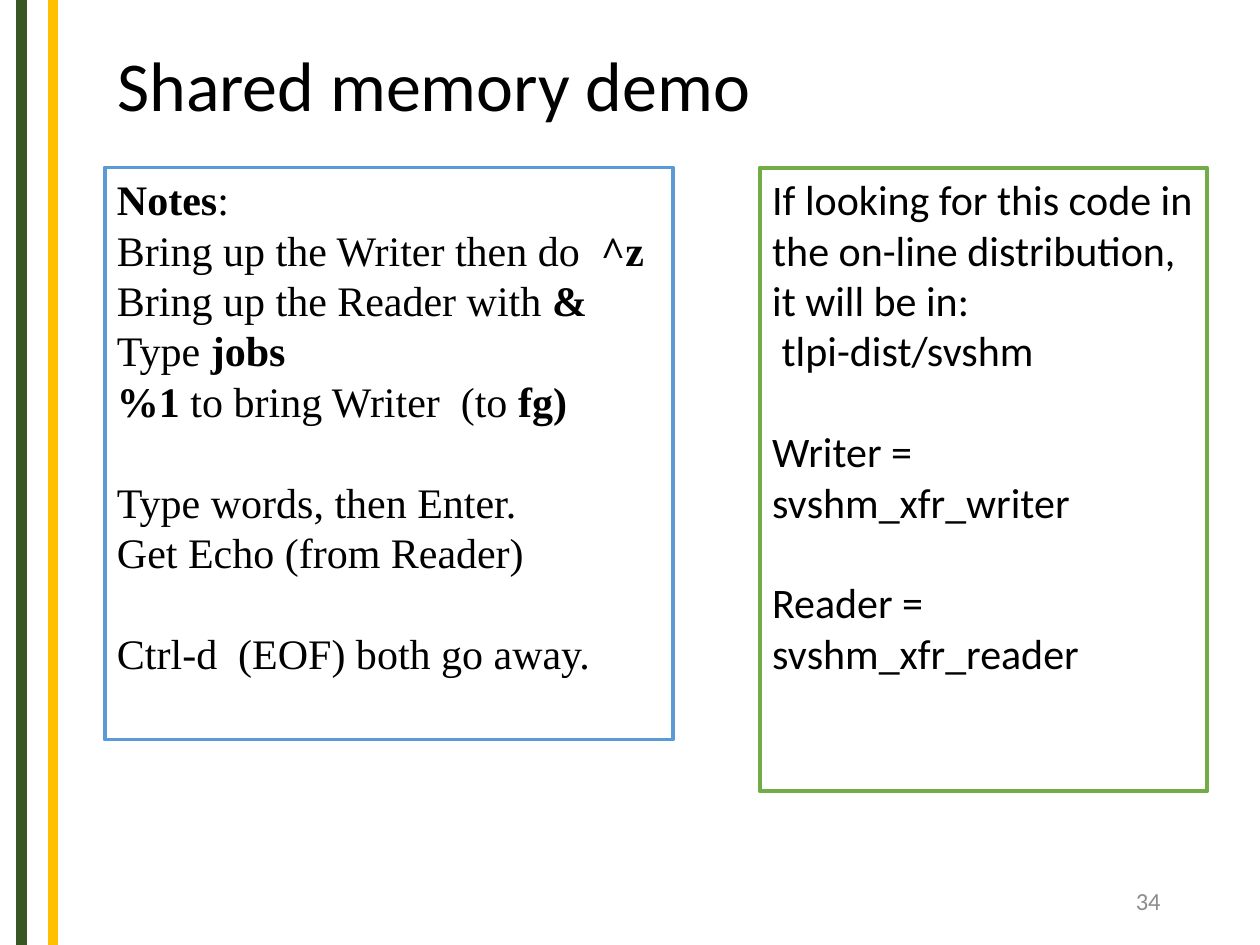
from pptx import Presentation
from pptx.dml.color import RGBColor
from pptx.enum.shapes import MSO_CONNECTOR, MSO_SHAPE
from pptx.enum.text import MSO_ANCHOR, PP_ALIGN
from pptx.oxml.ns import qn
from pptx.util import Inches, Pt
from lxml import etree

LEFT, RIGHT = PP_ALIGN.LEFT, PP_ALIGN.RIGHT
TOP, MIDDLE = MSO_ANCHOR.TOP, MSO_ANCHOR.MIDDLE
RECT = MSO_SHAPE.RECTANGLE
STRAIGHT = MSO_CONNECTOR.STRAIGHT

THEME = {
    "sans": "Calibri", "serif": "Times New Roman",
    "text": "000000", "muted": "8C8C8C",
    "title": 40, "body": 24, "number": 14,
    "pitch": 28.8, "border": 2.25, "stripe": 6,
}

TITLE = "Shared memory demo"
NUMBER = "34"
STRIPES = [(0.17, "385723"), (0.42, "FFC000")]

# Each group is a list of lines; each line is a list of (text, bold) runs.
NOTES = [
    [
        [("Notes", True), (":", False)],
        [("Bring up the Writer then do  ", False), ("^z", True)],
        [("Bring up the Reader with ", False), ("&", True)],
        [("Type ", False), ("jobs", True)],
        [("%1 ", True), ("to bring Writer  (to ", False), ("fg)", True)],
    ],
    [
        [("Type words, then Enter.", False)],
        [("Get Echo (from Reader)", False)],
    ],
    [[("Ctrl-d  (EOF) both go away.", False)]],
]
LOCATION = [
    [
        [("If looking for this code in the on-line distribution, it will be in:", False)],
        [(" tlpi-dist/svshm", False)],
    ],
    [[("Writer = svshm_xfr_writer", False)]],
    [[("Reader =", False)], [("svshm_xfr_reader", False)]],
]
PANELS = [
    ((0.83, 1.33, 4.51, 4.54), "5B9BD5", "serif", NOTES),
    ((6.03, 1.33, 3.55, 4.95), "70AD47", "sans", LOCATION),
]


def style(p, size, font="sans", color=THEME["text"], align=LEFT):
    p.alignment = align
    p.font.name = THEME[font]
    p.font.size = Pt(THEME[size])
    p.font.color.rgb = RGBColor.from_string(color)


def add_stripe(s, x, color):
    line = s.shapes.add_connector(STRAIGHT, Inches(x), 0, Inches(x), Inches(7.5))
    line.line.color.rgb = RGBColor.from_string(color)
    line.line.width = Pt(THEME["stripe"])
    etree.SubElement(line._element.spPr, qn("a:effectLst"))


def add_panel(s, box, color, font, groups):
    sp = s.shapes.add_shape(RECT, *map(Inches, box))
    sp.shadow.inherit = False
    sp.fill.background()
    sp.line.color.rgb = RGBColor.from_string(color)
    sp.line.width = Pt(THEME["border"])
    tf = sp.text_frame
    tf.word_wrap = True
    tf.vertical_anchor = TOP
    p = None
    for group in groups:
        for i, runs in enumerate(group):
            starts_group = p is not None and i == 0
            p = tf.paragraphs[0] if p is None else tf.add_paragraph()
            style(p, "body", font)
            p.line_spacing = Pt(THEME["pitch"])
            if starts_group:
                p.space_before = Pt(THEME["pitch"])
            for text, bold in runs:
                r = p.add_run()
                r.text = text
                r.font.bold = bold


def add_title(s):
    sp = s.shapes.title
    sp.left, sp.top, sp.width, sp.height = map(Inches, (0.83, 0.08, 8.64, 1.25))
    tf = sp.text_frame
    tf.text = TITLE
    tf.vertical_anchor = MIDDLE
    style(tf.paragraphs[0], "title")
    tf.paragraphs[0].line_spacing = 0.9


def add_number(s):
    tf = s.shapes.add_textbox(*map(Inches, (7.06, 6.95, 2.25, 0.4))).text_frame
    tf.text = NUMBER
    tf.word_wrap = True
    tf.vertical_anchor = MIDDLE
    style(tf.paragraphs[0], "number", color=THEME["muted"], align=RIGHT)


def main():
    prs = Presentation()
    prs.slide_width, prs.slide_height = Inches(10), Inches(7.5)
    s = prs.slides.add_slide(prs.slide_layouts[5])
    for stripe in STRIPES:
        add_stripe(s, *stripe)
    add_title(s)
    add_number(s)
    for panel in PANELS:
        add_panel(s, *panel)
    prs.save("out.pptx")


if __name__ == "__main__":
    main()
